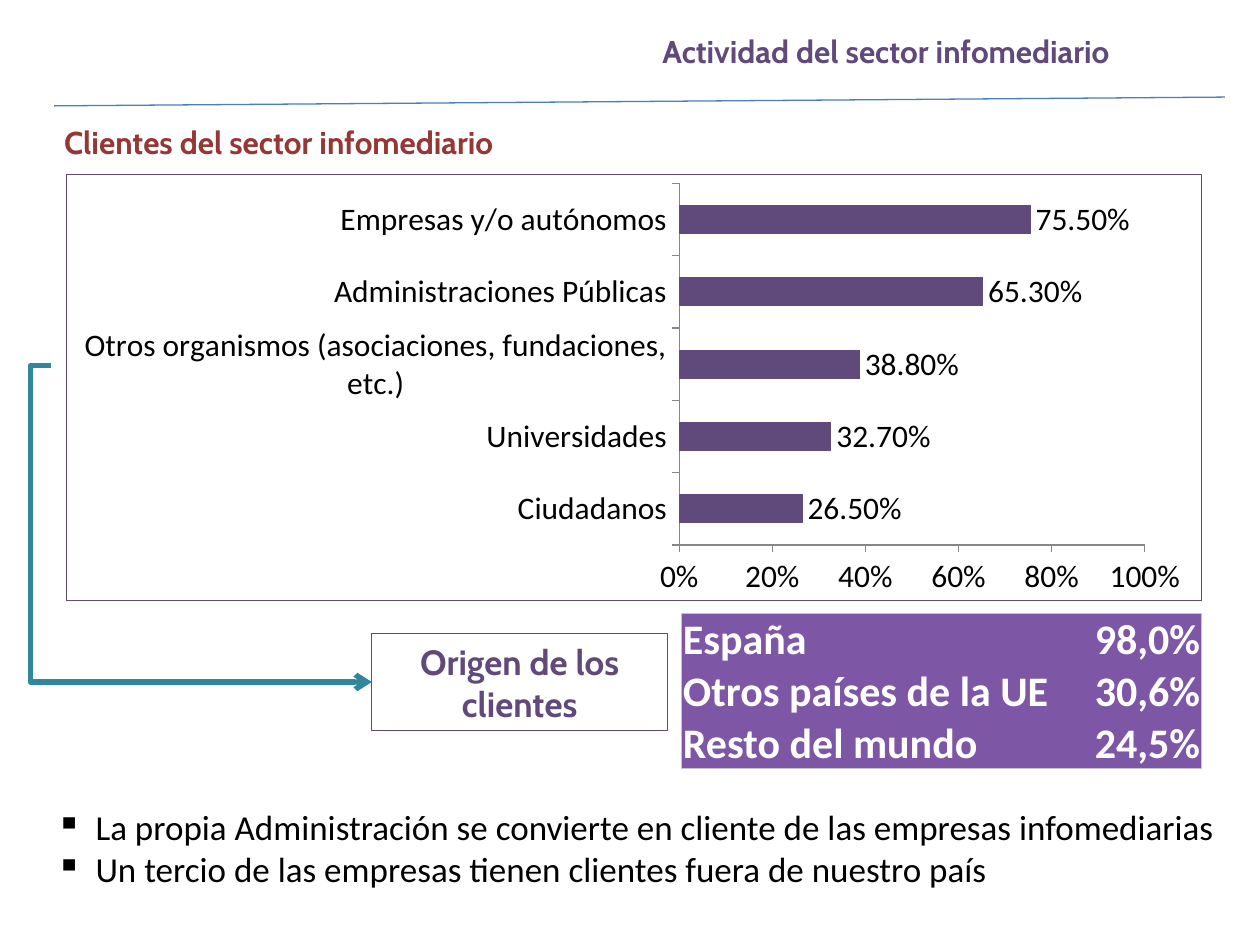
import pptx
import pptx.chart.data
import pptx.dml.color
import pptx.enum.chart
import pptx.enum.shapes
import pptx.enum.text
import pptx.oxml
import pptx.oxml.ns
import pptx.util

Pt = pptx.util.Pt
ALIGN = pptx.enum.text.PP_ALIGN
CONNECTOR = pptx.enum.shapes.MSO_CONNECTOR
COLORS = {
    name: pptx.dml.color.RGBColor.from_string(value)
    for name, value in {
        "purple": "604A7B", "red": "953735", "blue": "4B7EBC", "teal": "31859C",
        "table": "7D57A5", "border": "C8C1D3", "axis": "868686",
        "white": "FFFFFF", "black": "000000",
    }.items()
}


def style_font(font, name, size, color, bold=False):
    font.name, font.size, font.bold = name, Pt(size), bold
    font.color.rgb = COLORS[color]


def add_xml(parent, xml):
    """Append a DrawingML element, written with the a: prefix, and return it."""
    tag, rest = xml[1:].split(" ", 1)
    element = pptx.oxml.parse_xml(f"<{tag} {pptx.oxml.ns.nsdecls('a')} {rest}")
    parent.append(element)
    return element


presentation = pptx.Presentation()
presentation.slide_width, presentation.slide_height = Pt(720), Pt(540)
slide = presentation.slides.add_slide(presentation.slide_layouts[6])
shapes = slide.shapes

# Header rule and headings
rule = shapes.add_connector(CONNECTOR.STRAIGHT, Pt(31), Pt(60.5), Pt(700), Pt(55.5))
rule.line.color.rgb = COLORS["blue"]
rule.line.width = Pt(0.75)
add_xml(rule._element.spPr, "<a:effectLst />")

for text, left, top, width, color in (
    ("Actividad del sector infomediario", 371.5, 15, 315.5, "purple"),
    ("Clientes del sector infomediario", 29.5, 67, 303, "red"),
):
    heading = shapes.add_textbox(Pt(left), Pt(top), Pt(width), Pt(29))
    heading.text_frame.word_wrap = color == "red"
    paragraph = heading.text_frame.paragraphs[0]
    paragraph.text = text
    style_font(paragraph.font, "Cabin", 18, color, bold=True)

# Chart of customer types
chart_data = pptx.chart.data.CategoryChartData(number_format="0.00%")
chart_data.categories = [
    "Ciudadanos", "Universidades",
    "Otros organismos (asociaciones, fundaciones, etc.)",
    "Administraciones Públicas", "Empresas y/o autónomos",
]
chart_data.add_series("Series 1", (0.265, 0.327, 0.388, 0.653, 0.755))
chart = shapes.add_chart(
    pptx.enum.chart.XL_CHART_TYPE.BAR_CLUSTERED,
    Pt(37.5), Pt(99.5), Pt(649.5), Pt(244), chart_data,
).chart
chart.has_legend = chart.has_title = False
style_font(chart.font, "Calibri", 18, "black")

plot = chart.plots[0]
plot.gap_width = 150
plot.vary_by_categories = False
fill = plot.series[0].format.fill
fill.solid()
fill.fore_color.rgb = COLORS["purple"]
plot.has_data_labels = True
labels = plot.data_labels
labels.show_value = True
labels.number_format, labels.number_format_is_linked = "0.00%", False
labels.position = pptx.enum.chart.XL_LABEL_POSITION.OUTSIDE_END

value_axis = chart.value_axis
value_axis.minimum_scale, value_axis.maximum_scale, value_axis.major_unit = 0, 1, 0.2
value_axis.tick_labels.number_format = "0%"
value_axis.tick_labels.number_format_is_linked = False
for axis in (chart.category_axis, value_axis):
    axis.has_major_gridlines = False
    axis.major_tick_mark = pptx.enum.chart.XL_TICK_MARK.OUTSIDE
    axis.format.line.color.rgb = COLORS["axis"]

# The plot area takes fixed fractions of the chart
chart_namespace = pptx.oxml.ns.nsdecls("c")
plot_area = chart._chartSpace.chart.plotArea
for layout in plot_area.findall(pptx.oxml.ns.qn("c:layout")):
    plot_area.remove(layout)
fractions = "".join(
    f'<c:{key} val="{value}"/>'
    for key, value in (("x", 0.54), ("y", 0.02), ("w", 0.41), ("h", 0.85))
)
plot_area.insert(0, pptx.oxml.parse_xml(
    f'<c:layout {chart_namespace}><c:manualLayout><c:layoutTarget val="inner"/>'
    f'<c:xMode val="edge"/><c:yMode val="edge"/>{fractions}</c:manualLayout></c:layout>'
))
chart_frame = pptx.oxml.parse_xml(
    f'<c:spPr {chart_namespace} {pptx.oxml.ns.nsdecls("a")}><a:ln w="{Pt(0.75)}">'
    f'<a:solidFill><a:srgbClr val="{COLORS["purple"]}"/></a:solidFill></a:ln></c:spPr>'
)
chart._chartSpace.chart.addnext(chart_frame)

# Table of customer origins
origins = (("España", "98,0%"), ("Otros países de la UE", "30,6%"), ("Resto del mundo", "24,5%"))
table = shapes.add_table(3, 2, Pt(389.5), Pt(350.5), Pt(297), Pt(88.5)).table
table.first_row = table.horz_banding = False
table.columns[0].width, table.columns[1].width = Pt(217.25), Pt(79.75)
for row, origin in enumerate(origins):
    table.rows[row].height = Pt(29.5)
    for column, text in enumerate(origin):
        cell = table.cell(row, column)
        cell.margin_left = cell.margin_right = cell.margin_top = Pt(0.75)
        cell.margin_bottom = 0
        paragraph = cell.text_frame.paragraphs[0]
        paragraph.text = text
        paragraph.alignment = ALIGN.RIGHT if column else ALIGN.LEFT
        style_font(paragraph.font, "Calibri", 24, "white", bold=True)
        outer_edges = {"lnL": column == 0, "lnR": column == 1, "lnT": row == 0, "lnB": row == 2}
        for edge, is_outer in outer_edges.items():
            paint = (f'<a:solidFill><a:srgbClr val="{COLORS["border"]}"/></a:solidFill>'
                     if is_outer else "<a:noFill/>")
            add_xml(cell._tc.get_or_add_tcPr(), f'<a:{edge} w="{Pt(0.75)}">{paint}</a:{edge}>')
        cell.fill.solid()
        cell.fill.fore_color.rgb = COLORS["table"]

# Origin label
origin_box = shapes.add_shape(
    pptx.enum.shapes.MSO_SHAPE.RECTANGLE, Pt(212.5), Pt(362), Pt(169), Pt(55.5))
origin_box.shadow.inherit = False
origin_box.fill.solid()
origin_box.fill.fore_color.rgb = COLORS["white"]
origin_box.line.color.rgb = COLORS["purple"]
origin_box.line.width = Pt(0.75)
paragraph = origin_box.text_frame.paragraphs[0]
paragraph.text = "Origen de los clientes"
paragraph.alignment = ALIGN.CENTER
style_font(paragraph.font, "Cabin", 20, "purple", bold=True)

# Conclusions
conclusions = shapes.add_textbox(Pt(25), Pt(457), Pt(690.5), Pt(55.5)).text_frame
conclusions.word_wrap = True
for index, text in enumerate((
    "La propia Administración se convierte en cliente de las empresas infomediarias",
    "Un tercio de las empresas tienen clientes fuera de nuestro país",
)):
    paragraph = conclusions.add_paragraph() if index else conclusions.paragraphs[0]
    paragraph.text = text
    style_font(paragraph.font, "Calibri", 20, "black")
    properties = paragraph._p.get_or_add_pPr()
    properties.set("marL", str(Pt(22.5)))
    properties.set("indent", str(-Pt(22.5)))
    bullet = add_xml(properties, '<a:buChar char="▪"/>')
    properties.insert(0, bullet)

# Elbow arrow from the chart to the origin label
arrow = shapes.add_connector(CONNECTOR.ELBOW, Pt(29), Pt(209), Pt(212.5), Pt(389.75))
arrow.line.color.rgb = COLORS["teal"]
arrow.line.width = Pt(3)
add_xml(arrow.line._get_or_add_ln(), '<a:tailEnd type="arrow"/>')
add_xml(arrow._element.spPr, "<a:effectLst />")
adjustments = arrow._element.spPr.find(pptx.oxml.ns.qn("a:prstGeom")).get_or_add_avLst()
add_xml(adjustments, '<a:gd name="adj1" fmla="val -6400"/>')

presentation.save("out.pptx")
